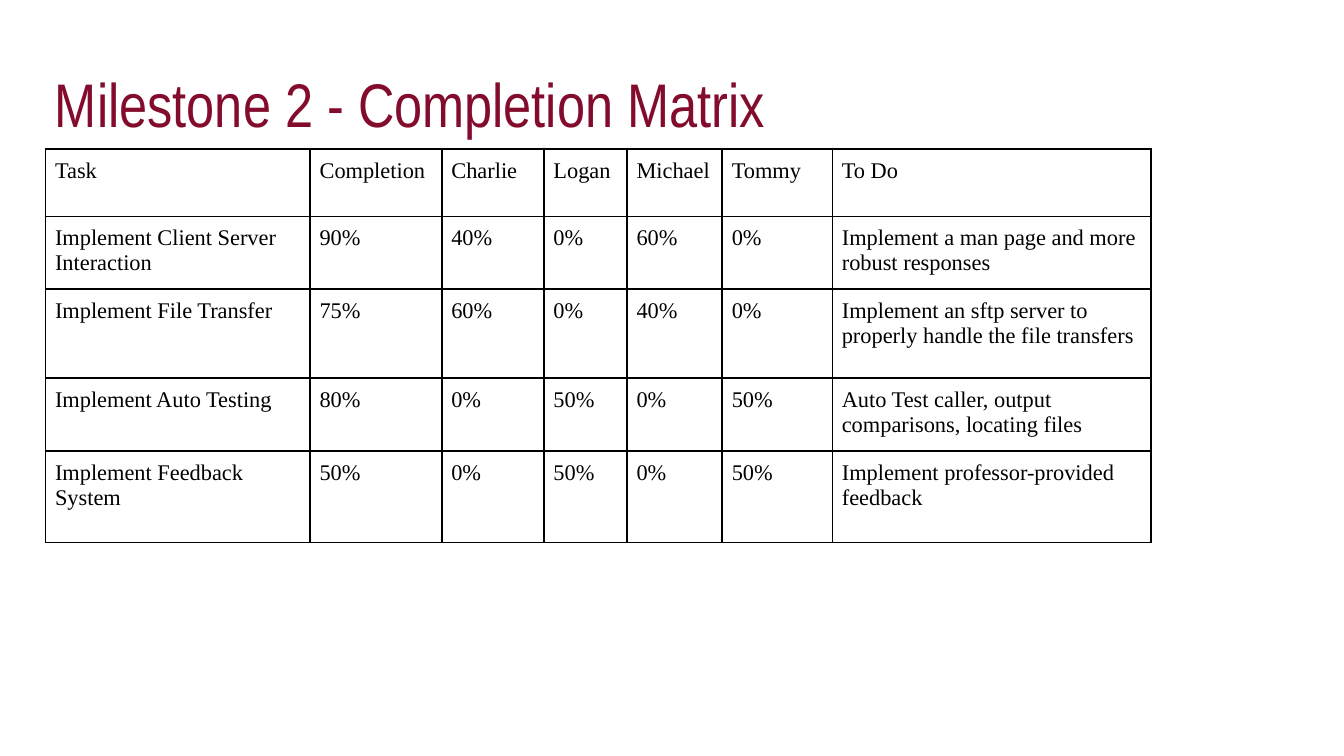
from lxml import etree
from pptx import Presentation
from pptx.dml.color import RGBColor
from pptx.enum.text import MSO_ANCHOR
from pptx.oxml.ns import qn
from pptx.util import Cm, Pt

MIDDLE = MSO_ANCHOR.MIDDLE
TOP = MSO_ANCHOR.TOP

COLORS = {"title": "830C2C", "text": "000000", "border": "000000"}
BLANK_LAYOUT = 6

COLUMN_WIDTHS = [5, 2.49, 1.93, 1.57, 1.8, 2.08, 6.02]
ROW_HEIGHTS = [1.27, 1.24, 1.68, 1.27, 1.73]
MATRIX = [
    ["Task", "Completion", "Charlie", "Logan", "Michael", "Tommy", "To Do"],
    ["Implement Client Server Interaction", "90%", "40%", "0%", "60%", "0%",
     "Implement a man page and more robust responses"],
    ["Implement File Transfer", "75%", "60%", "0%", "40%", "0%",
     "Implement an sftp server to properly handle the file transfers"],
    ["Implement Auto Testing", "80%", "0%", "50%", "0%", "50%",
     "Auto Test caller, output comparisons, locating files"],
    ["Implement Feedback System", "50%", "0%", "50%", "0%", "50%",
     "Implement professor-provided feedback"],
]


class SlideBuilder:
    """Holds the text style and the slide that elements are added to."""

    title_font, title_size = "Arial Narrow", 33
    body_font, body_size = "Times New Roman", 12
    padding = Cm(0.18)
    border_width = Pt(1)

    def __init__(self, slide):
        self.slide = slide

    def add_run(self, paragraph, text, font, size, color):
        run = paragraph.add_run()
        run.text = text
        run.font.name = font
        run.font.size = Pt(size)
        run.font.color.rgb = RGBColor.from_string(COLORS[color])

    def add_title(self, text, left, top, width, height):
        box = self.slide.shapes.add_textbox(Cm(left), Cm(top), Cm(width), Cm(height))
        frame = box.text_frame
        frame.word_wrap = True
        frame.vertical_anchor = MIDDLE
        frame.margin_left = frame.margin_right = self.padding
        frame.margin_top = frame.margin_bottom = Cm(0.1)
        paragraph = frame.paragraphs[0]
        paragraph.line_spacing = 0.9
        self.add_run(paragraph, text, self.title_font, self.title_size, "title")

    def add_borders(self, cell):
        properties = cell._tc.get_or_add_tcPr()
        for side in ("a:lnL", "a:lnR", "a:lnT", "a:lnB"):
            line = etree.SubElement(properties, qn(side), w=str(self.border_width))
            fill = etree.SubElement(line, qn("a:solidFill"))
            etree.SubElement(fill, qn("a:srgbClr"), val=COLORS["border"])

    def fill_cell(self, cell, text):
        cell.margin_left = cell.margin_right = self.padding
        cell.margin_top = cell.margin_bottom = self.padding
        cell.vertical_anchor = TOP
        self.add_borders(cell)
        cell.fill.background()
        paragraph = cell.text_frame.paragraphs[0]
        self.add_run(paragraph, text, self.body_font, self.body_size, "text")

    def add_table(self, rows, left, top, widths, heights):
        table = self.slide.shapes.add_table(
            len(rows), len(widths), Cm(left), Cm(top),
            Cm(sum(widths)), Cm(sum(heights))).table
        table.first_row = False
        table.horz_banding = False
        for column, width in zip(table.columns, widths):
            column.width = Cm(width)
        for row, height, texts in zip(table.rows, heights, rows):
            row.height = Cm(height)
            for cell, text in zip(row.cells, texts):
                self.fill_cell(cell, text)


def main():
    presentation = Presentation()
    presentation.slide_width = Cm(25.4)
    presentation.slide_height = Cm(14.29)
    layout = presentation.slide_layouts[BLANK_LAYOUT]
    builder = SlideBuilder(presentation.slides.add_slide(layout))
    builder.add_title("Milestone 2 - Completion Matrix", 0.86, 1.24, 23.67, 1.6)
    builder.add_table(MATRIX, 0.86, 2.82, COLUMN_WIDTHS, ROW_HEIGHTS)
    presentation.save("out.pptx")


if __name__ == "__main__":
    main()
